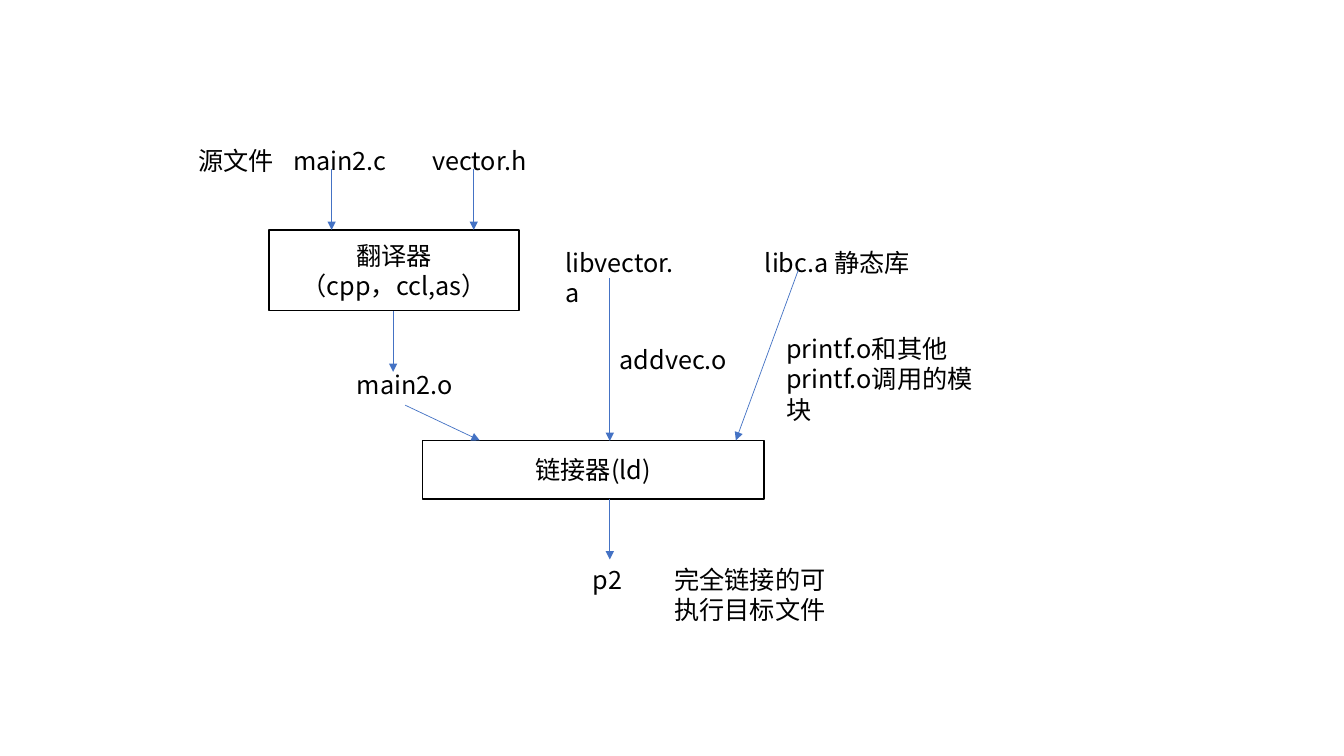
import pptx
import pptx.util
import pptx.dml.color
import pptx.enum.shapes
import pptx.enum.text
import lxml.etree
from pptx.util import Pt

FONT = "Noto Sans CJK SC"
BLACK = "000000"
BLUE = "4472C4"

# text, left, top, width, height
LABELS = [
    ("源文件", 134.6, 100, 80, 29),
    ("main2.c", 202.3, 100, 175.7, 29),
    ("vector.h", 301.7, 100, 85.7, 29),
    ("libvector.a", 396.7, 172.8, 98, 29),
    ("libc.a 静态库", 539.3, 172.8, 152, 29),
    ("printf.o和其他\nprintf.o调用的模块", 554.4, 234.7, 164.9, 51),
    ("main2.o", 247.7, 260, 82.8, 29),
    ("addvec.o", 435.6, 242.6, 103.7, 29),
    ("p2", 416.2, 399.6, 39.6, 29),
    ("完全链接的可执行目标文件", 474.5, 399.6, 131, 51),
]
TOOLS = [
    ("翻译器\v（cpp，ccl,as）", 192.2, 164.2, 178.6, 57.6),
    ("链接器(ld)", 301.7, 314.6, 244, 41.8),
]
# from x, from y, to x, to y
ARROWS = [
    (236.9, 121, 236.9, 164.2),
    (338.4, 121, 338.4, 164.2),
    (435.6, 198.7, 435.6, 315),
    (280.8, 222.5, 280.8, 265.7),
    (570.2, 193, 525.6, 314.6),
    (289.4, 289.4, 342.7, 314.6),
    (435.6, 356.4, 435.6, 399.6),
]


def rgb(value):
    """Turn a hex string into a colour."""
    return pptx.dml.color.RGBColor.from_string(value)


def set_text(sp, text, align):
    """Write text into a shape and format every run."""
    tf = sp.text_frame
    tf.word_wrap = True
    tf.text = text
    for p in tf.paragraphs:
        p.alignment = align
        p.line_spacing = Pt(21.6)
        for r in p.runs:
            r.font.size = Pt(18)
            r.font.name = FONT
            r.font.color.rgb = rgb(BLACK)
            ea = lxml.etree.SubElement(r.font._element, pptx.oxml.ns.qn("a:ea"))
            ea.set("typeface", FONT)


def add_label(s, text, x, y, w, h):
    """Add a plain left-aligned label."""
    sp = s.shapes.add_textbox(Pt(x), Pt(y), Pt(w), Pt(h))
    set_text(sp, text, pptx.enum.text.PP_ALIGN.LEFT)
    sp.text_frame.auto_size = pptx.enum.text.MSO_AUTO_SIZE.SHAPE_TO_FIT_TEXT


def add_tool(s, text, x, y, w, h):
    """Add an outlined box for a build tool."""
    kind = pptx.enum.shapes.MSO_SHAPE.RECTANGLE
    sp = s.shapes.add_shape(kind, Pt(x), Pt(y), Pt(w), Pt(h))
    sp.shadow.inherit = False
    sp.fill.background()
    sp.line.color.rgb = rgb(BLACK)
    sp.line.width = Pt(1)
    set_text(sp, text, pptx.enum.text.PP_ALIGN.CENTER)
    sp.text_frame.vertical_anchor = pptx.enum.text.MSO_ANCHOR.MIDDLE


def add_arrow(s, x1, y1, x2, y2):
    """Add a thin arrow pointing at its second end."""
    kind = pptx.enum.shapes.MSO_CONNECTOR.STRAIGHT
    sp = s.shapes.add_connector(kind, Pt(x1), Pt(y1), Pt(x2), Pt(y2))
    sp.line.color.rgb = rgb(BLUE)
    sp.line.width = Pt(0.5)
    qn = pptx.oxml.ns.qn
    ln = sp.line._get_or_add_ln()
    lxml.etree.SubElement(ln, qn("a:tailEnd")).set("type", "triangle")
    lxml.etree.SubElement(sp._element.spPr, qn("a:effectLst"))


def main():
    """Build the static linking diagram."""
    prs = pptx.Presentation()
    prs.slide_width, prs.slide_height = Pt(960), Pt(540)
    s = prs.slides.add_slide(prs.slide_layouts[6])
    for tool in TOOLS:
        add_tool(s, *tool)
    for label in LABELS:
        add_label(s, *label)
    for arrow in ARROWS:
        add_arrow(s, *arrow)
    prs.save("out.pptx")


main()
